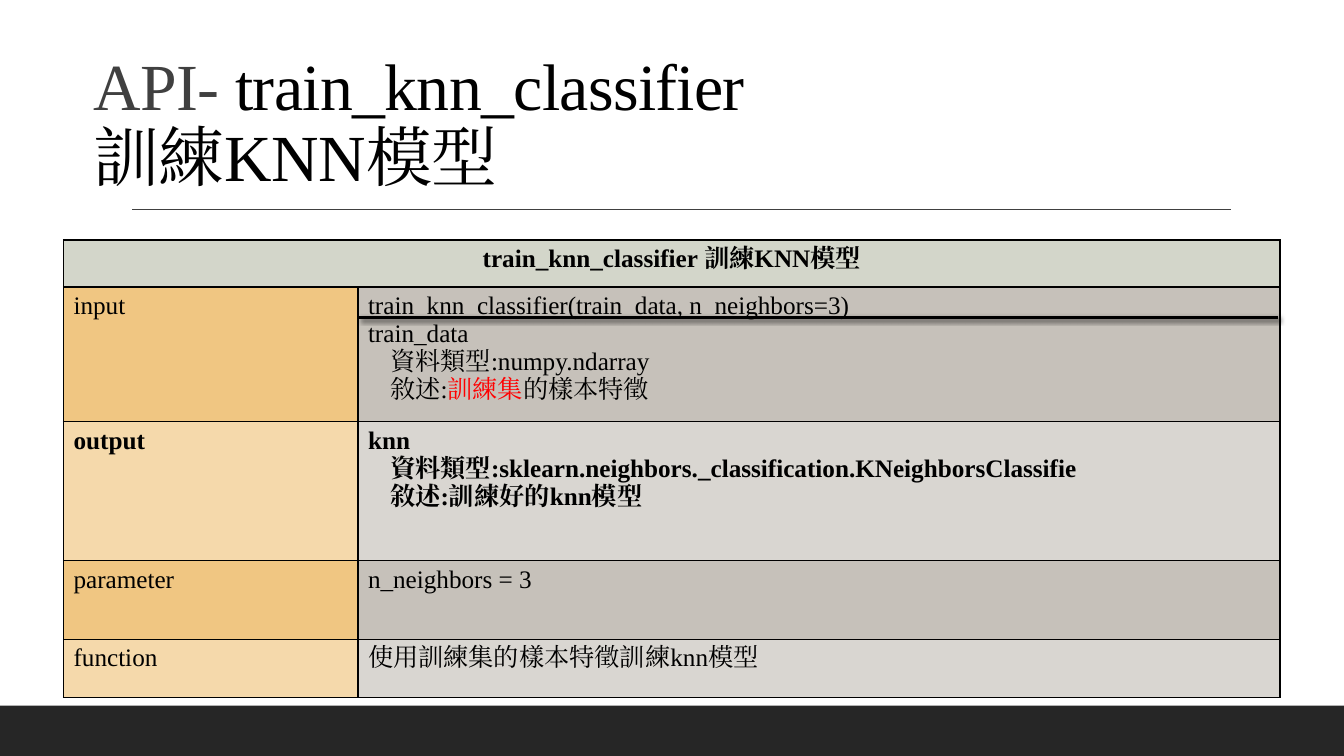
from lxml import etree
from pptx import Presentation
from pptx.dml.color import RGBColor
from pptx.enum.shapes import MSO_CONNECTOR, MSO_SHAPE
from pptx.enum.text import MSO_ANCHOR, MSO_AUTO_SIZE, PP_ALIGN
from pptx.oxml import parse_xml
from pptx.oxml.ns import nsdecls, qn
from pptx.util import Cm, Pt

STRAIGHT = MSO_CONNECTOR.STRAIGHT
RECTANGLE = MSO_SHAPE.RECTANGLE
BOTTOM = MSO_ANCHOR.BOTTOM
NO_FIT = MSO_AUTO_SIZE.NONE
LEFT, CENTER = PP_ALIGN.LEFT, PP_ALIGN.CENTER

BLACK = RGBColor(0x00, 0x00, 0x00)
RED = RGBColor(0xFF, 0x00, 0x00)
GRAY = RGBColor(0x40, 0x40, 0x40)
CHARCOAL = RGBColor(0x26, 0x26, 0x26)
SAGE = RGBColor(0xD3, 0xD6, 0xCA)
ORANGE = RGBColor(0xF0, 0xC6, 0x82)
PEACH = RGBColor(0xF5, 0xD9, 0xAB)
TAUPE = RGBColor(0xC6, 0xC1, 0xBA)
STONE = RGBColor(0xD9, 0xD6, 0xD1)
FONT = "Times New Roman"
INDENT = Cm(0.56)


def add_run(p, text, size, color, bold=False):
    r = p.add_run()
    r.text = text
    for name, value in {"name": FONT, "size": Pt(size), "bold": bold}.items():
        setattr(r.font, name, value)
    r.font.color.rgb = color
    rPr = r._r.get_or_add_rPr()
    for tag in ("a:ea", "a:cs"):
        etree.SubElement(rPr, qn(tag)).set("typeface", FONT)
    return r


def fill_cell(cell, lines, fill, bold=False, align=LEFT):
    tcPr = cell._tc.get_or_add_tcPr()
    for side in ("lnL", "lnR", "lnT", "lnB"):
        tcPr.append(parse_xml(
            f'<a:{side} {nsdecls("a")} w="12700"><a:solidFill>'
            f'<a:srgbClr val="{BLACK}"/></a:solidFill></a:{side}>'))
    cell.fill.solid()
    cell.fill.fore_color.rgb = fill
    tf = cell.text_frame
    for i, (level, runs) in enumerate(lines):
        p = tf.paragraphs[0] if i == 0 else tf.add_paragraph()
        p.alignment = align
        if level:
            p._p.get_or_add_pPr().set("marL", str(INDENT))
        for text, color in runs:
            add_run(p, text, 18, color, bold)


prs = Presentation()
prs.slide_width, prs.slide_height = Cm(33.87), Cm(19.05)
s = prs.slides.add_slide(prs.slide_layouts[5])

bar = s.shapes.add_shape(RECTANGLE, 0, Cm(17.78), prs.slide_width, Cm(1.27))
bar.shadow.inherit = False
bar.fill.solid()
bar.fill.fore_color.rgb = CHARCOAL
bar.line.fill.background()

title = s.shapes.title
title.left, title.top, title.width, title.height = Cm(2.11), Cm(1.02), Cm(29.67), Cm(4.04)
tf = title.text_frame
for name, value in {"word_wrap": True, "auto_size": NO_FIT, "vertical_anchor": BOTTOM}.items():
    setattr(tf, name, value)
p = tf.paragraphs[0]
p.alignment = LEFT
p.line_spacing = 0.9
title_runs = [("API- ", GRAY), ("train_knn_classifier", BLACK), ("訓練KNN模型", BLACK)]
for i, (text, color) in enumerate(title_runs):
    if i == 2:
        p.add_line_break()
    r = add_run(p, text, 47, color)
    r._r.get_or_add_rPr().set("spc", "-50")

input_lines = [
    (0, [("train_knn_classifier(train_data, n_neighbors=3)", BLACK)]),
    (0, [("train_data", BLACK)]),
    (1, [("資料類型:numpy.ndarray", BLACK)]),
    (1, [("敘述:", BLACK), ("訓練集", RED), ("的樣本特徵", BLACK)]),
]
output_lines = [
    (0, [("knn", BLACK)]),
    (1, [("資料類型:sklearn.neighbors._classification.KNeighborsClassifie", BLACK)]),
    (1, [("敘述:訓練好的knn模型", BLACK)]),
]
parameter_lines = [(0, [("n_neighbors = 3", BLACK)])]
function_lines = [(0, [("使用訓練集的樣本特徵訓練knn模型", BLACK)])]
header_lines = [(0, [("train_knn_classifier 訓練KNN模型", BLACK)])]

tables = [
    (6.05, [
        (1.18, None, header_lines, SAGE, SAGE, True),
        (3.4, "input", input_lines, ORANGE, TAUPE, False),
    ]),
    (10.63, [
        (3.5, "output", output_lines, PEACH, STONE, True),
        (1.98, "parameter", parameter_lines, ORANGE, TAUPE, False),
        (1.47, "function", function_lines, PEACH, STONE, False),
    ]),
]
for top, rows in tables:
    height = sum(row[0] for row in rows)
    table = s.shapes.add_table(len(rows), 2, Cm(1.6), Cm(top), Cm(30.66), Cm(height)).table
    for column, width in zip(table.columns, (7.42, 23.24)):
        column.width = Cm(width)
    for i, (row_height, label, lines, label_fill, fill, bold) in enumerate(rows):
        table.rows[i].height = Cm(row_height)
        name_cell, detail_cell = table.cell(i, 0), table.cell(i, 1)
        if label is None:
            name_cell.merge(detail_cell)
            fill_cell(name_cell, lines, fill, bold, CENTER)
            fill_cell(detail_cell, [], fill)
        else:
            fill_cell(name_cell, [(0, [(label, BLACK)])], label_fill, bold)
            fill_cell(detail_cell, lines, fill, bold)

rules = [(3.33, 31.01, 5.28, GRAY, 1, False), (9.04, 32.21, 8, BLACK, 2, True)]
for x1, x2, y, color, width, shadowed in rules:
    line = s.shapes.add_connector(STRAIGHT, Cm(x1), Cm(y), Cm(x2), Cm(y))
    line.line.color.rgb = color
    line.line.width = Pt(width)
    effects = etree.SubElement(line._element.spPr, qn("a:effectLst"))
    if shadowed:
        effects.append(parse_xml(
            f'<a:outerShdw {nsdecls("a")} blurRad="38100" dist="25400" dir="2700000">'
            f'<a:srgbClr val="{BLACK}"><a:alpha val="60000"/></a:srgbClr></a:outerShdw>'))

prs.save("out.pptx")
